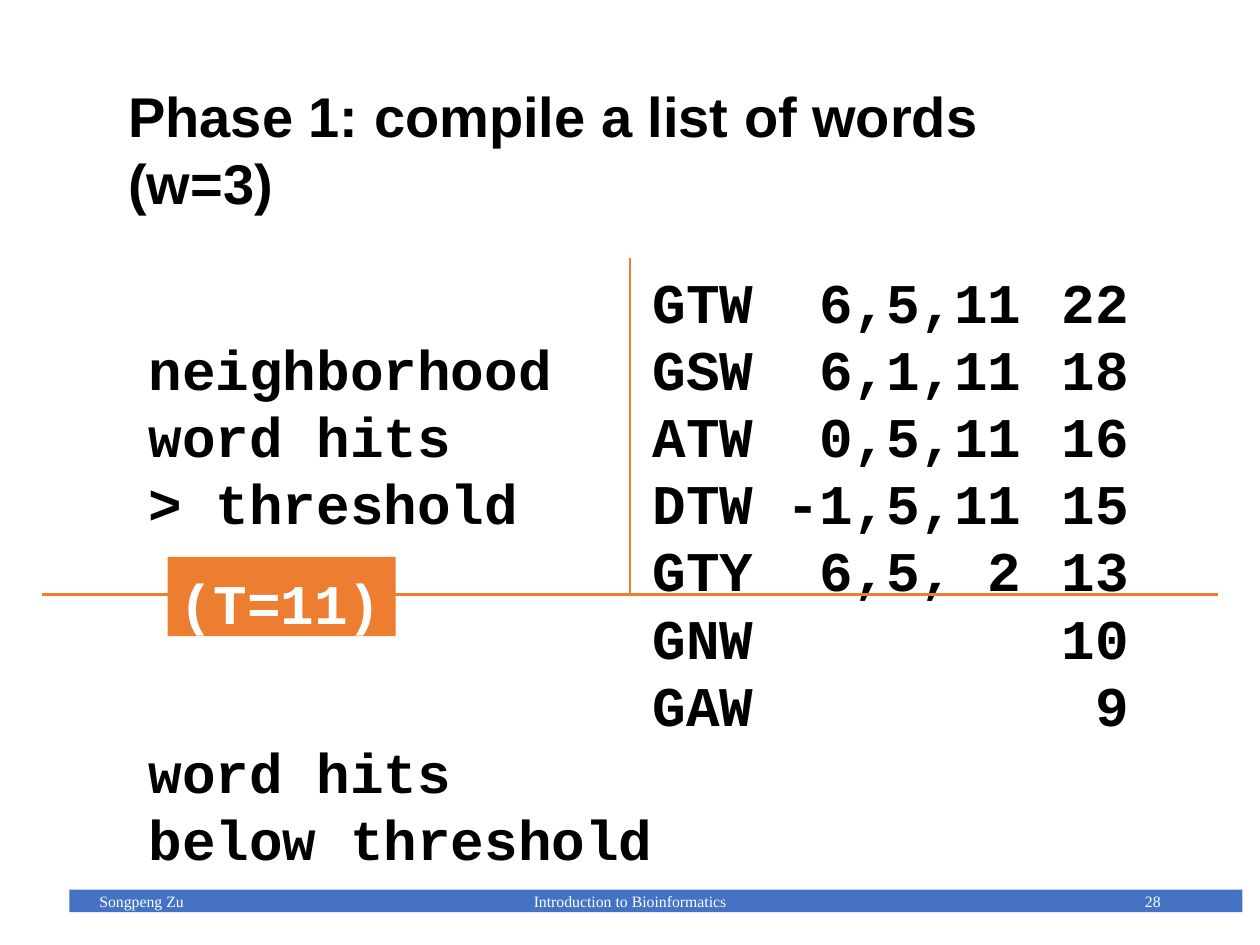
import pptx
import pptx.util
import pptx.dml.color
import pptx.enum.shapes
import pptx.enum.text
import lxml.etree
import pptx.oxml.ns

Inches = pptx.util.Inches
Pt = pptx.util.Pt
RGBColor = pptx.dml.color.RGBColor
ALIGN = pptx.enum.text.PP_ALIGN
ANCHOR = pptx.enum.text.MSO_ANCHOR

BLACK = RGBColor(0x00, 0x00, 0x00)
WHITE = RGBColor(0xFF, 0xFF, 0xFF)
BLUE = RGBColor(0x44, 0x72, 0xC4)
ORANGE = RGBColor(0xED, 0x7D, 0x31)

# Label, word, residue scores, total
WORD_ROWS = [
    ("", "GTW", "6,5,11", "22"),
    ("neighborhood", "GSW", "6,1,11", "18"),
    ("word hits", "ATW", "0,5,11", "16"),
    ("> threshold", "DTW", "-1,5,11", "15"),
    ("", "GTY", "6,5, 2", "13"),
    ("", "GNW", "", "10"),
    ("", "GAW", "", "9"),
    ("word hits",),
    ("below threshold",),
]
WORD_TABS = [(4.0, "l"), (6.93, "r"), (7.78, "r")]


def add_tab_stops(paragraph, tab_stops):
    properties = paragraph._p.get_or_add_pPr()
    tab_list = lxml.etree.SubElement(properties, pptx.oxml.ns.qn("a:tabLst"))
    for position, alignment in tab_stops:
        lxml.etree.SubElement(tab_list, pptx.oxml.ns.qn("a:tab"),
                              pos=str(Inches(position)), algn=alignment)


def write_text(shape, lines, *, font, size, color, bold=False, align=ALIGN.LEFT,
               anchor=ANCHOR.TOP, wrap=True, spacing=None, tab_stops=()):
    frame = shape.text_frame
    frame.word_wrap = wrap
    frame.vertical_anchor = anchor
    for index, line in enumerate(lines):
        paragraph = frame.add_paragraph() if index else frame.paragraphs[0]
        if tab_stops:
            add_tab_stops(paragraph, tab_stops)
        paragraph.alignment = align
        if spacing:
            paragraph.line_spacing = Pt(spacing)
        run = paragraph.add_run()
        run.text = line
        run.font.name = font
        run.font.size = Pt(size)
        run.font.bold = bold
        run.font.color.rgb = color


def add_text(slide, box, lines, **text_format):
    text_box = slide.shapes.add_textbox(*map(Inches, box))
    write_text(text_box, lines, **text_format)


def add_block(slide, box, color):
    block = slide.shapes.add_shape(
        pptx.enum.shapes.MSO_SHAPE.RECTANGLE, *map(Inches, box))
    block.shadow.inherit = False
    block.fill.solid()
    block.fill.fore_color.rgb = color
    block.line.fill.background()
    return block


def add_line(slide, start, end):
    line = slide.shapes.add_connector(
        pptx.enum.shapes.MSO_CONNECTOR.STRAIGHT, *map(Inches, start + end))
    line.line.color.rgb = ORANGE
    line.line.width = Pt(1.5)
    lxml.etree.SubElement(line._element.spPr, pptx.oxml.ns.qn("a:effectLst"))


def add_title(slide, box):
    add_text(slide, box, ["Phase 1: compile a list of words (w=3)"],
             font="Arial", size=32, color=BLACK, bold=True, spacing=38.4)


def add_word_list(slide, box):
    add_text(slide, box, ["\t".join(row) for row in WORD_ROWS],
             font="Courier New", size=32, color=BLACK, bold=True,
             spacing=38.4, tab_stops=WORD_TABS)


def add_dividers(slide, box):
    """Draw three arms from the middle of the box's bottom edge."""
    left, top, width, height = box
    junction = (left + width / 2, top + height)
    arms = [(left + width, top + height), (junction[0], top), (left, top + height)]
    for end in arms:
        add_line(slide, junction, end)


def add_threshold(slide, box):
    block = add_block(slide, box, ORANGE)
    block.text_frame.margin_top = Inches(0.09)
    write_text(block, ["(T=11)"], font="Courier New", size=32, color=WHITE,
               bold=True, wrap=False, spacing=38.4)


def add_footer(slide, box):
    left, top, width, height = box
    add_block(slide, box, BLUE)
    text_height = 0.4
    text_top = top + (height - text_height) / 2
    parts = [
        (0.14, 2.25, "Songpeng Zu", ALIGN.LEFT),
        (2.76, 3.38, "Introduction to Bioinformatics", ALIGN.CENTER),
        (6.51, 2.25, "28", ALIGN.RIGHT),
    ]
    for offset, part_width, text, align in parts:
        add_text(slide, (left + offset, text_top, part_width, text_height), [text],
                 font="Times New Roman", size=9, color=WHITE, align=align,
                 anchor=ANCHOR.MIDDLE)


def main():
    presentation = pptx.Presentation()
    presentation.slide_width = Inches(10)
    presentation.slide_height = Inches(7.5)
    slide = presentation.slides.add_slide(presentation.slide_layouts[6])
    add_footer(slide, (0.55, 7.06, 9.31, 0.18))
    add_title(slide, (0.92, 0.6, 7.9, 1.17))
    add_word_list(slide, (1.08, 2.07, 8.28, 4.9))
    add_dividers(slide, (0.33, 2.05, 9.34, 2.67))
    add_threshold(slide, (1.33, 4.42, 1.81, 0.63))
    presentation.save("out.pptx")


if __name__ == "__main__":
    main()
